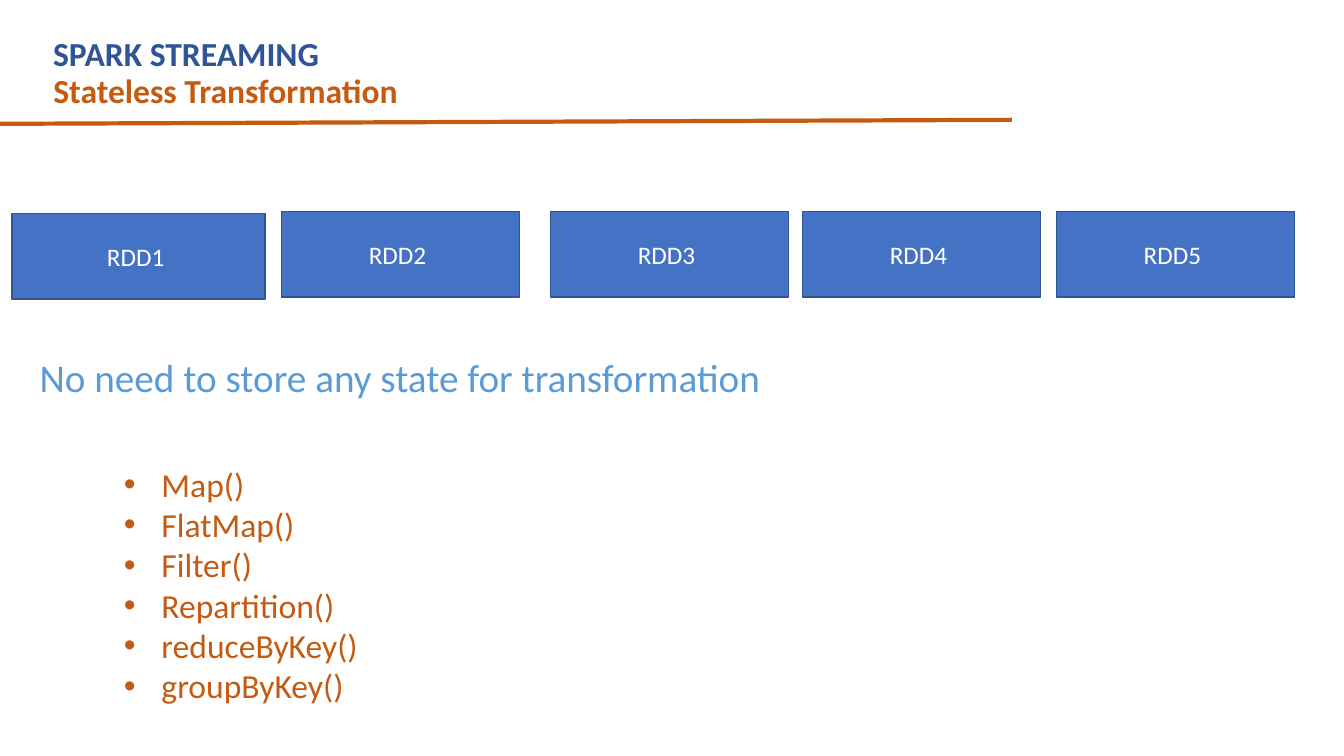
from dataclasses import dataclass

from lxml import etree
from pptx import Presentation
from pptx.dml.color import RGBColor
from pptx.enum import shapes, text
from pptx.oxml import parse_xml
from pptx.oxml.ns import nsdecls, qn
from pptx.util import Cm, Pt


@dataclass(frozen=True)
class Theme:
    font: str = "Calibri"
    navy: str = "2F5597"
    orange: str = "C55A11"
    box_fill: str = "4472C4"
    box_line: str = "325491"
    white: str = "FFFFFF"
    statement: tuple = ((0, "1F4E79"), (50, "5B9BD5"), (100, "9DC3E6"))
    heading_size: int = 24
    statement_size: int = 28
    box_size: int = 18


theme = Theme()


def add_run(paragraph, words, size, color=None, bold=False):
    run = paragraph.add_run()
    run.text = words
    run.font.name = theme.font
    run.font.size = Pt(size)
    run.font.bold = bold
    if color:
        run.font.color.rgb = RGBColor.from_string(color)
    return run


def add_text_frame(left, top, width, height, wrap):
    frame = slide.shapes.add_textbox(Cm(left), Cm(top), Cm(width), Cm(height)).text_frame
    frame.word_wrap = wrap
    frame.auto_size = text.MSO_AUTO_SIZE.SHAPE_TO_FIT_TEXT
    return frame


prs = Presentation()
prs.slide_width, prs.slide_height = Cm(33.87), Cm(19.05)
slide = prs.slides.add_slide(prs.slide_layouts.get_by_name("Title Only"))

# Headings and rule
topic = add_text_frame(1.09, 0.71, 20.83, 1.27, wrap=True)
add_run(topic.paragraphs[0], "SPARK STREAMING", theme.heading_size, theme.navy, bold=True)

title = slide.shapes.title
title.left, title.top, title.width, title.height = Cm(1.09), Cm(1.73), Cm(29.54), Cm(1.19)
title.text_frame.vertical_anchor = text.MSO_ANCHOR.MIDDLE
title.text_frame.auto_size = text.MSO_AUTO_SIZE.NONE
heading = title.text_frame.paragraphs[0]
heading.alignment = text.PP_ALIGN.LEFT
heading.line_spacing = 0.9
add_run(heading, "Stateless Transformation", theme.heading_size, theme.orange, bold=True)

rule = slide.shapes.add_connector(
    shapes.MSO_CONNECTOR.STRAIGHT, Cm(0), Cm(3.12), Cm(25.5), Cm(3.02))
rule.line.color.rgb = RGBColor.from_string(theme.orange)
rule.line.width = Pt(3)
etree.SubElement(rule._element.spPr, qn("a:effectLst"))

# Row of RDDs: left, top, width
rdd_places = [(0.3, 5.38, 6.38), (7.09, 5.33, 6), (13.87, 5.33, 6),
              (20.22, 5.33, 6), (26.62, 5.33, 6)]
for number, (left, top, width) in enumerate(rdd_places, start=1):
    rdd = slide.shapes.add_shape(
        shapes.MSO_SHAPE.RECTANGLE, Cm(left), Cm(top), Cm(width), Cm(2.16))
    rdd.shadow.inherit = False
    rdd.fill.solid()
    rdd.fill.fore_color.rgb = RGBColor.from_string(theme.box_fill)
    rdd.line.color.rgb = RGBColor.from_string(theme.box_line)
    rdd.line.width = Pt(1)
    rdd.text_frame.vertical_anchor = text.MSO_ANCHOR.MIDDLE
    label = rdd.text_frame.paragraphs[0]
    label.alignment = text.PP_ALIGN.CENTER
    add_run(label, f"RDD{number} ", theme.box_size, theme.white)

# Statement with gradient lettering
statement = add_text_frame(0.64, 8.79, 18.87, 1.45, wrap=False).paragraphs[0]
statement.alignment = text.PP_ALIGN.CENTER
statement_run = add_run(
    statement, "No need to store any state for transformation", theme.statement_size)
stops = "".join(f'<a:gs pos="{percent * 1000}"><a:srgbClr val="{color}"/></a:gs>'
                for percent, color in theme.statement)
statement_run._r.get_or_add_rPr().insert(0, parse_xml(
    f'<a:gradFill {nsdecls("a")}><a:gsLst>{stops}</a:gsLst>'
    '<a:lin ang="5400000" scaled="0"/></a:gradFill>'))

# Stateless operations
operations = ["Map()", "FlatMap()", "Filter()", "Repartition()", "reduceByKey()", "groupByKey()"]
operation_frame = add_text_frame(1.6, 11.56, 7.75, 6.4, wrap=False)
for index, operation in enumerate(operations):
    item = operation_frame.add_paragraph() if index else operation_frame.paragraphs[0]
    item.level = 1
    properties = item._p.get_or_add_pPr()
    properties.set("marL", str(Cm(2.22)))
    properties.set("indent", str(Cm(-0.95)))
    etree.SubElement(properties, qn("a:buFont"), typeface="Arial")
    etree.SubElement(properties, qn("a:buChar"), char="•")
    add_run(item, operation, theme.heading_size, theme.orange)

prs.save("out.pptx")
